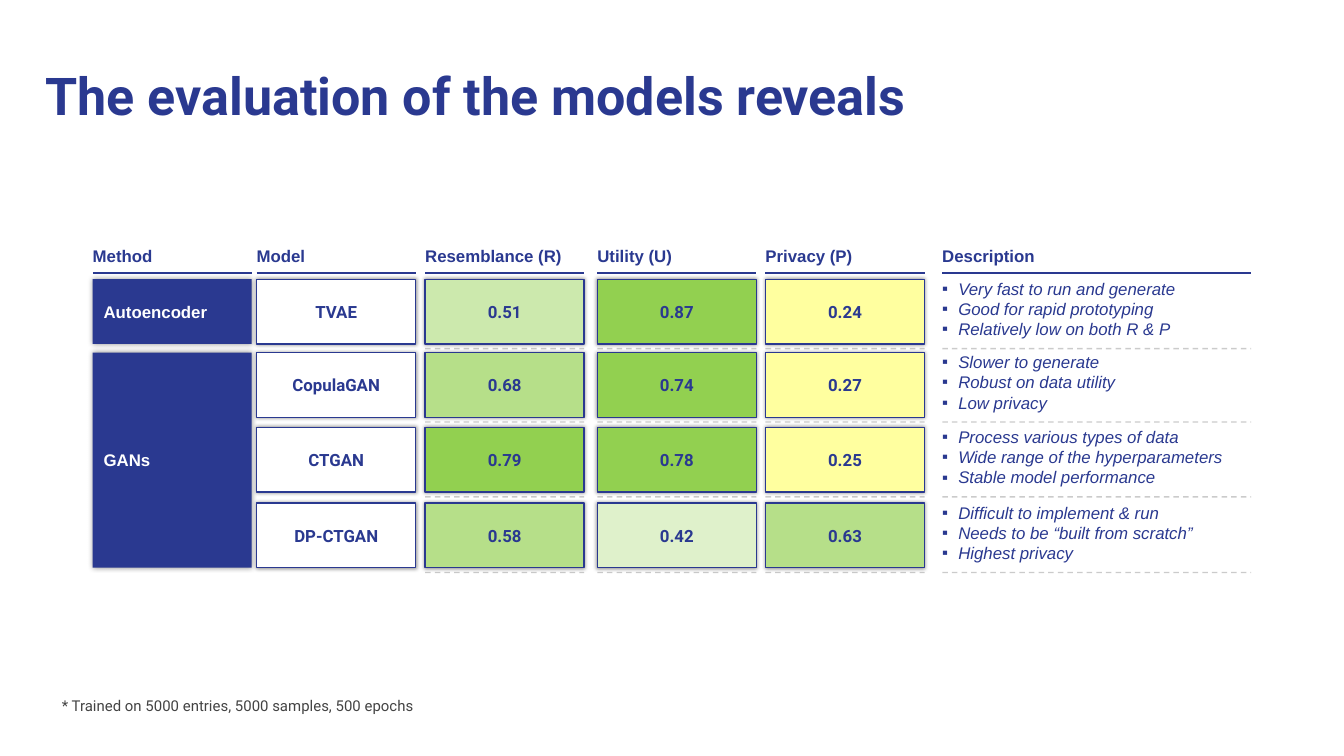
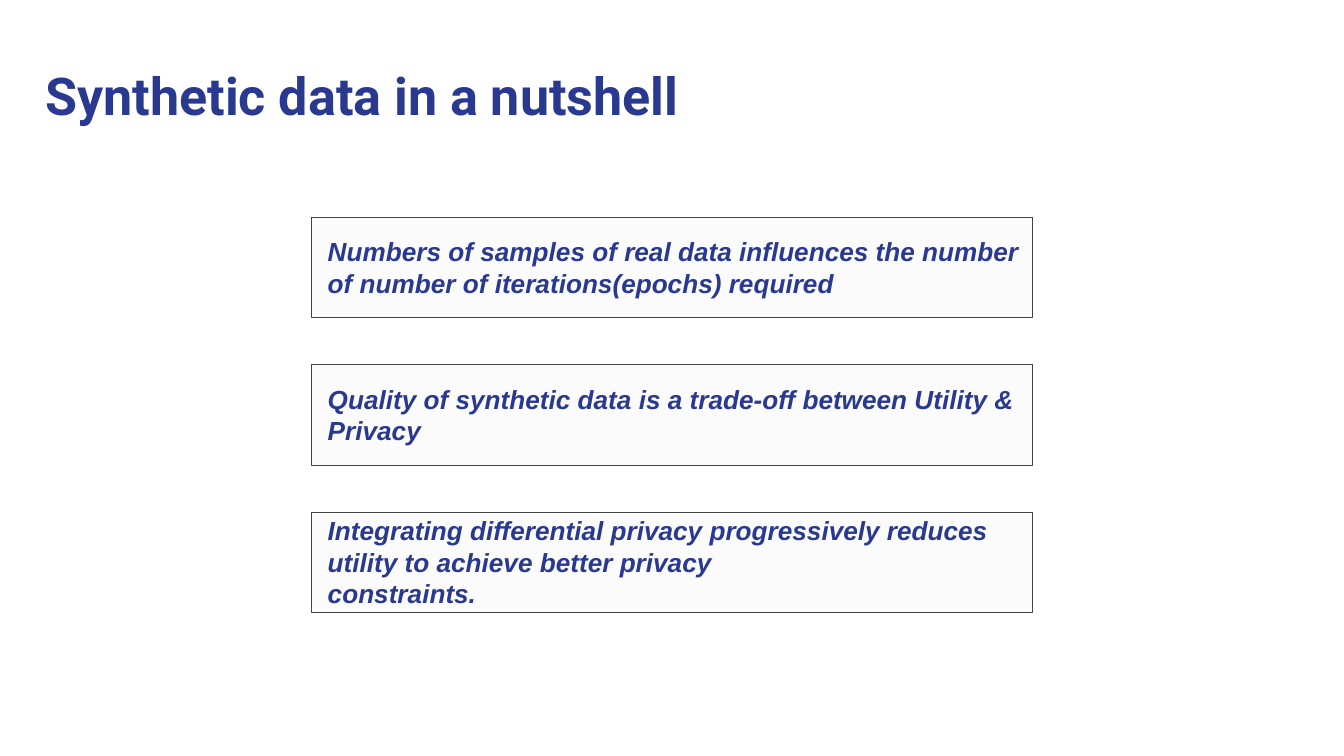
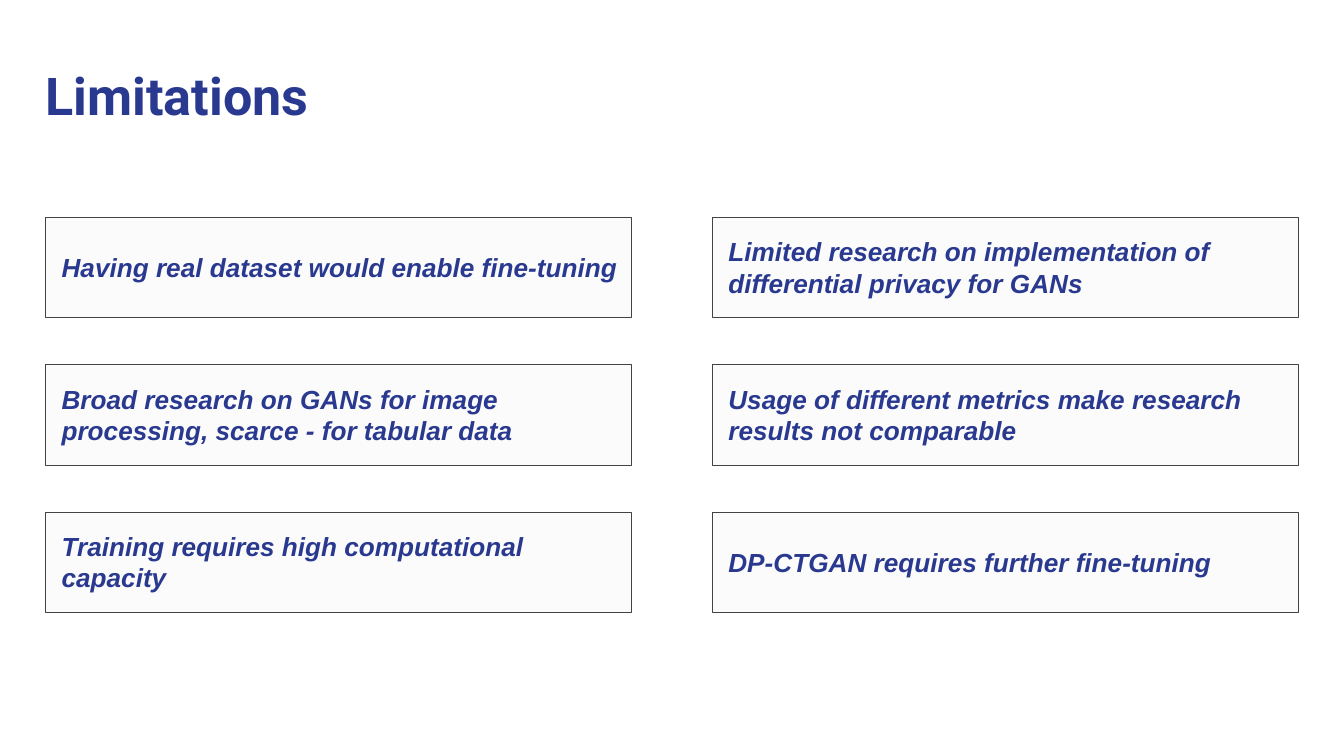
import pptx
import pptx.util
import pptx.dml.color
import pptx.enum.dml
import pptx.enum.shapes
import pptx.enum.text
import lxml.etree

Pt = pptx.util.Pt
Align = pptx.enum.text.PP_ALIGN
Anchor = pptx.enum.text.MSO_ANCHOR
Kind = pptx.enum.shapes.MSO_SHAPE

BLUE, WHITE, GREY, DARK, PALE = "2A3990", "FFFFFF", "999999", "434343", "FBFBFB"
TITLES = ["The evaluation of the models reveals", "Synthetic data in a nutshell", "Limitations"]
NOTE = "* Trained on 5000 entries, 5000 samples, 500 epochs"

COLS = [
    ("Method", 49.7, 85.2),
    ("Model", 137.5, 85.2),
    ("Resemblance (R)", 227.8, 85.2),
    ("Utility (U)", 320, 85.2),
    ("Privacy (P)", 410.1, 85.2),
    ("Description", 504.8, 165.5),
]
METHODS = [("Autoencoder", 0, 0), ("GANs", 1, 3)]
MODELS = [
    ("TVAE", (0.51, 0.87, 0.24),
     ["Very fast to run and generate", "Good for rapid prototyping", "Relatively low on both R & P"]),
    ("CopulaGAN", (0.68, 0.74, 0.27),
     ["Slower to generate", "Robust on data utility", "Low privacy"]),
    ("CTGAN", (0.79, 0.78, 0.25),
     ["Process various types of data", "Wide range of the hyperparameters", "Stable model performance"]),
    ("DP-CTGAN", (0.58, 0.42, 0.63),
     ["Difficult to implement & run", "Needs to be “built from scratch”", "Highest privacy"]),
]
TOPS = [149.6, 188.9, 229, 269.5]
CELL = 34.7
SCALE = [(0.7, "92D050"), (0.55, "B6DF89"), (0.5, "CCE9AD"), (0.4, "DFF1CB"), (0, "FFFF9F")]

POINTS = [
    ["Numbers of samples of real data influences the number of number of iterations(epochs) required"],
    ["Quality of synthetic data is a trade-off between Utility & Privacy"],
    ["Integrating differential privacy progressively reduces utility to achieve better privacy",
     "constraints."],
]
LIMITS = [
    (24.4, [["Having real dataset would enable fine-tuning"],
            ["Broad research on GANs for image processing, scarce - for tabular data"],
            ["Training requires high computational capacity"]]),
    (381.6, [["Limited research on implementation of differential privacy for GANs"],
             ["Usage of different metrics make research results not comparable"],
             ["DP-CTGAN requires further fine-tuning"]]),
]


def tint(code):
    return pptx.dml.color.RGBColor.from_string(code)


def node(root, tag, **attrs):
    return lxml.etree.SubElement(root, pptx.oxml.ns.qn("a:" + tag), attrs)


def write(shape, lines, size, color=BLUE, font="Arial", bold=False, slant=False,
          inset=(0, 0, 0, 0), anchor=Anchor.MIDDLE, align=Align.LEFT, bullet=False):
    frame = shape.text_frame
    frame.word_wrap = True
    frame.vertical_anchor = anchor
    frame.margin_left, frame.margin_top, frame.margin_right, frame.margin_bottom = map(Pt, inset)
    for i, line in enumerate(lines):
        para = frame.add_paragraph() if i else frame.paragraphs[0]
        para.alignment = align
        if bullet:
            props = para._p.get_or_add_pPr()
            props.set("marL", str(Pt(8.6)))
            props.set("indent", str(-Pt(8.6)))
            node(node(props, "buClr"), "srgbClr", val=BLUE)
            node(props, "buFont", typeface="Arial")
            node(props, "buChar", char="▪")
        run = para.add_run()
        run.text = line
        run.font.size = Pt(size)
        run.font.name = font
        run.font.bold = bold
        run.font.italic = slant
        run.font.color.rgb = tint(color)


def label(slide, box, lines, size, **style):
    write(slide.shapes.add_textbox(*map(Pt, box)), lines, size, **style)


def block(slide, box, fill, edge=None, width=0.75, blur=0):
    shape = slide.shapes.add_shape(Kind.RECTANGLE, *map(Pt, box))
    shape.shadow.inherit = False
    shape.fill.solid()
    shape.fill.fore_color.rgb = tint(fill)
    if edge:
        shape.line.color.rgb = tint(edge)
        shape.line.width = Pt(width)
    else:
        shape.line.fill.background()
    if blur:
        effects = shape._element.spPr.find(pptx.oxml.ns.qn("a:effectLst"))
        shade = node(effects, "outerShdw", blurRad=str(Pt(blur)), dist="0", dir="0",
                     algn="ctr", rotWithShape="0")
        node(node(shade, "srgbClr", val="000000"), "alpha", val="40000")
    return shape


def rule(slide, left, top, wide, color, width, dash=False):
    line = slide.shapes.add_connector(pptx.enum.shapes.MSO_CONNECTOR.STRAIGHT,
                                      Pt(left), Pt(top), Pt(left + wide), Pt(top))
    line.line.color.rgb = tint(color)
    line.line.width = Pt(width)
    if dash:
        line.line.dash_style = pptx.enum.dml.MSO_LINE.DASH
        ink = line._element.spPr.find(".//" + pptx.oxml.ns.qn("a:srgbClr"))
        node(ink, "alpha", val="50000")
    node(line._element.spPr, "effectLst")


def cell(slide, col, top, text, fill):
    _, left, wide = COLS[col]
    shape = block(slide, (left, top, wide, CELL), fill, BLUE, blur=2)
    write(shape, [text], 9, font="Roboto", bold=True, align=Align.CENTER)


def grid(slide):
    for name, left, wide in COLS:
        rule(slide, left, 146.2, wide, BLUE, 1)
        label(slide, (left, 131.8, wide, 13.7), [name], 9, bold=True,
              inset=(0, 0, 0, 2.9), anchor=Anchor.BOTTOM)
    _, left, wide = COLS[0]
    for name, first, last in METHODS:
        high = TOPS[last] + CELL - TOPS[first]
        shape = block(slide, (left, TOPS[first], wide, high), BLUE, blur=3)
        write(shape, [name], 9, color=WHITE, bold=True, inset=(5.8, 0, 2.9, 0))
    _, left, wide = COLS[-1]
    for top, (name, scores, notes) in zip(TOPS, MODELS):
        for _, start, span in COLS[2:]:
            rule(slide, start, top + 37.2, span, GREY, 0.75, dash=True)
        cell(slide, 1, top, name, WHITE)
        for col, score in enumerate(scores, 2):
            fill = next(code for floor, code in SCALE if score >= floor)
            cell(slide, col, top, f"{score:.2f}", fill)
        label(slide, (left, top - 0.4, wide, 35.3), notes, 9, slant=True,
              inset=(0, 0, 0, 2.9), bullet=True)


def stack(slide, left, wide, items):
    for i, lines in enumerate(items):
        shape = block(slide, (left, 116.6 + 78.9 * i, wide, 53.8), PALE, DARK, 0.5)
        write(shape, lines, 14, bold=True, slant=True, inset=(8.6, 2.9, 5.8, 3.6))


def main():
    deck = pptx.Presentation()
    deck.slide_width, deck.slide_height = Pt(720), Pt(405)
    slides = []
    for title in TITLES:
        slide = deck.slides.add_slide(deck.slide_layouts[6])
        label(slide, (24.5, 33.8, 671, 47.5), [title], 27.9, font="Roboto", bold=True,
              anchor=Anchor.TOP)
        slides.append(slide)
    table, brief, limits = slides
    grid(table)
    label(table, (33.1, 373, 229, 9.4), [NOTE], 8, color=DARK, font="Roboto", anchor=Anchor.TOP)
    stack(brief, 167, 386, POINTS)
    for left, items in LIMITS:
        stack(limits, left, 314, items)
    deck.save("out.pptx")


if __name__ == "__main__":
    main()
